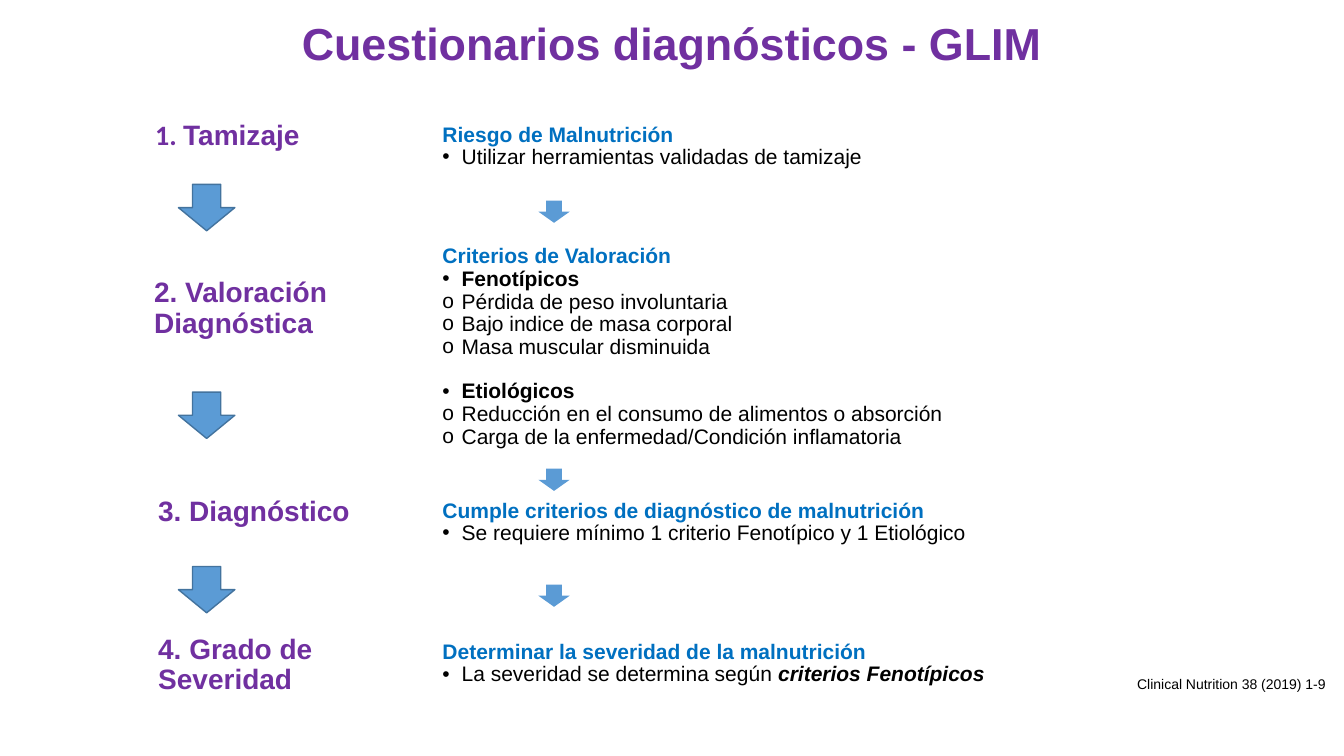
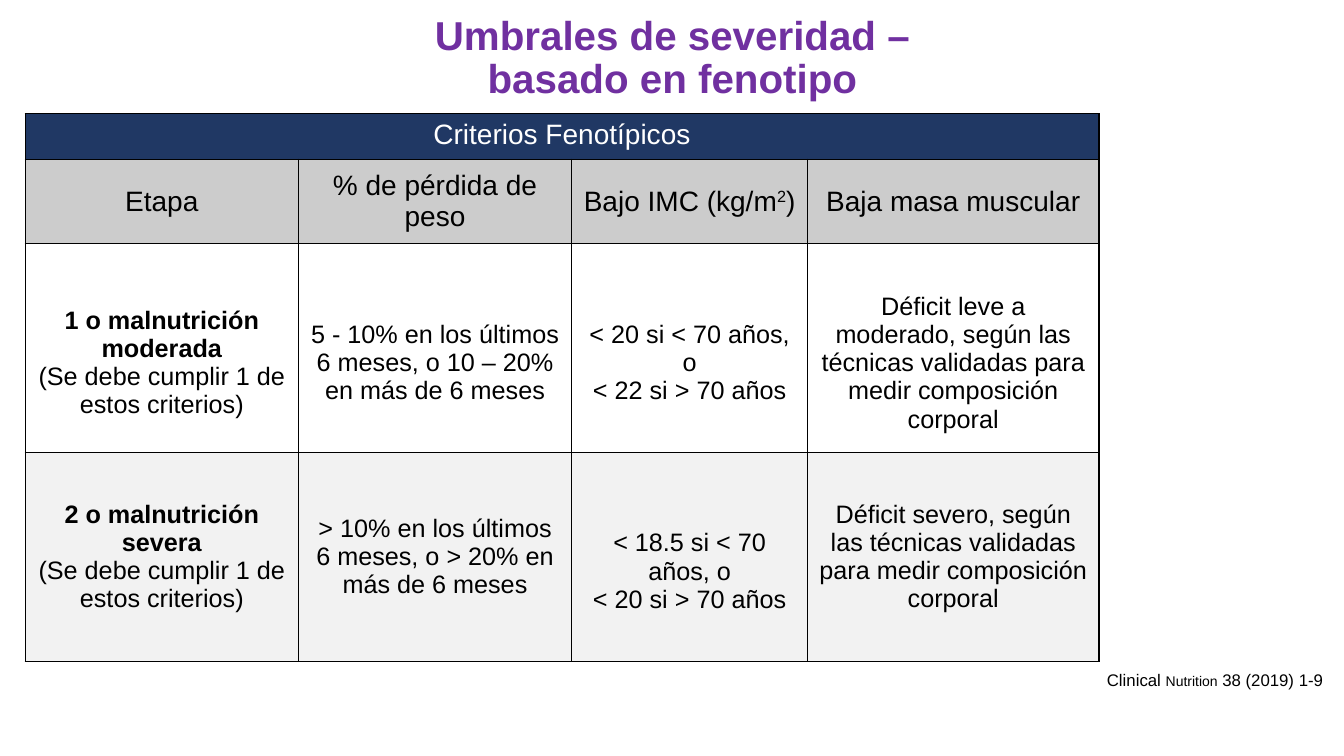
from lxml import etree
from pptx import Presentation
from pptx.dml.color import RGBColor
from pptx.enum.shapes import MSO_SHAPE as SHAPE
from pptx.enum.text import MSO_ANCHOR as ANCHOR, MSO_AUTO_SIZE as AUTO, PP_ALIGN as ALIGN
from pptx.oxml.ns import qn
from pptx.util import Inches, Pt

COLORS = {"purple": "7030A0", "blue": "0070C0", "arrow": "5B9BD5", "arrow_line": "43739E",
          "navy": "203864", "gray": "CCCCCC", "light": "F2F2F2", "white": "FFFFFF",
          "black": "000000"}
RGB = {name: RGBColor.from_string(value) for name, value in COLORS.items()}
BOLD = {"bold": True}

prs = Presentation()
prs.slide_width, prs.slide_height = Inches(13.33), Inches(7.5)


def write(p, parts, size, color="black", **style):
    """Fill a paragraph with a string, or with (text, font attributes) pairs."""
    for text, extra in [(parts, {})] if isinstance(parts, str) else parts:
        r = p.add_run()
        r.text = text
        font = {"name": "Arial", "size": Pt(size), "bold": False, **style, **extra}
        for key, value in font.items():
            setattr(r.font, key, value)
        r.font.color.rgb = RGB[color]


def add_slide(title, title_box, title_size, citation, citation_box):
    s = prs.slides.add_slide(prs.slide_layouts[5])
    sp = s.shapes.title
    sp.left, sp.top, sp.width, sp.height = map(Inches, title_box)
    tf = sp.text_frame
    tf.auto_size, tf.word_wrap, tf.vertical_anchor = AUTO.NONE, True, ANCHOR.MIDDLE
    p = tf.paragraphs[0]
    p.alignment, p.line_spacing = ALIGN.CENTER, 0.9
    write(p, title, title_size, "purple", bold=True)
    tf = s.shapes.add_textbox(*map(Inches, citation_box)).text_frame
    tf.word_wrap = True
    write(tf.paragraphs[0], citation, 10)
    return s


# Slide 1: diagnostic steps
s = add_slide("Cuestionarios diagnósticos - GLIM", (0, 0, 13.33, 0.91), 32,
              "Clinical Nutrition 38 (2019) 1-9", (11.18, 6.65, 2.15, 0.24))

# Each detail: top, height, heading, then (bullet, text) items
details = [
    (1.05, 0.81, "Riesgo de Malnutrición",
     [("•", "Utilizar herramientas validadas de tamizaje")]),
    (2.38, 2.13, "Criterios de Valoración",
     [("•", [("Fenotípicos", BOLD)]),
      ("o", "Pérdida de peso involuntaria"),
      ("o", "Bajo indice de masa corporal"),
      ("o", "Masa muscular disminuida"),
      ("•", [("Etiológicos", BOLD)]),
      ("o", "Reducción en el consumo de alimentos o absorción"),
      ("o", "Carga de la enfermedad/Condición inflamatoria")]),
    (4.85, 0.67, "Cumple criterios de diagnóstico de malnutrición",
     [("•", "Se requiere mínimo 1 criterio Fenotípico y 1 Etiológico")]),
    (6.21, 0.75, "Determinar la severidad de la malnutrición",
     [("•", [("La severidad se determina según ", {}),
             ("criterios Fenotípicos", {"bold": True, "italic": True})])]),
]
for top, height, heading, items in details:
    tf = s.shapes.add_textbox(Inches(4.29), Inches(top), Inches(6.49), Inches(height)).text_frame
    tf.word_wrap, tf.vertical_anchor = True, ANCHOR.MIDDLE
    p = tf.paragraphs[0]
    p.line_spacing = 0.9
    write(p, heading, 15, "blue", bold=True)
    previous = "•"
    for bullet, text in items:
        p = tf.add_paragraph()
        p.line_spacing = 0.9
        if bullet == "•" and previous == "o":
            p.space_before = Pt(15.5)
        previous = bullet
        pPr = p._p.get_or_add_pPr()
        pPr.set("marL", str(Inches(0.19)))
        pPr.set("indent", str(-Inches(0.19)))
        etree.SubElement(pPr, qn("a:buFont")).set("typeface", "Arial")
        etree.SubElement(pPr, qn("a:buChar")).set("char", bullet)
        write(p, text, 15)

steps = [
    (1.44, 1.13, 1.9, 0.44, [("1. ", {"name": "Calibri"}), ("Tamizaje", {})]),
    (1.43, 2.72, 2.34, 0.69, "2. Valoración Diagnóstica"),
    (1.47, 4.87, 2.34, 0.42, "3. Diagnóstico"),
    (1.47, 6.31, 1.98, 0.58, "4. Grado de Severidad"),
]
for *box, text in steps:
    tf = s.shapes.add_textbox(*map(Inches, box)).text_frame
    tf.word_wrap, tf.vertical_anchor = True, ANCHOR.MIDDLE
    tf.paragraphs[0].line_spacing = 0.9
    write(tf.paragraphs[0], text, 20, "purple", bold=True)

# Each arrow column: left, width, height, outlined, tops
arrow_columns = [(1.77, 0.56, 0.46, True, (1.83, 3.89, 5.62)),
                 (5.34, 0.31, 0.22, False, (1.99, 4.65, 5.8))]
for left, width, height, outlined, tops in arrow_columns:
    for top in tops:
        sp = s.shapes.add_shape(SHAPE.DOWN_ARROW, *map(Inches, (left, top, width, height)))
        sp.shadow.inherit = False
        sp.fill.solid()
        sp.fill.fore_color.rgb = RGB["arrow"]
        if outlined:
            sp.line.color.rgb = RGB["arrow_line"]
            sp.line.width = Pt(1)
        else:
            sp.line.fill.background()

# Slide 2: severity thresholds
large = {"size": Pt(12)}
s = add_slide("Umbrales de severidad – basado en fenotipo", (4.03, 0.1, 5.28, 0.97), 28.8,
              [("Clinical ", large), ("Nutrition", {}), (" 38 (2019) 1-9", large)],
              (10.88, 6.6, 2.35, 0.27))

criteria = "(Se debe cumplir 1 de estos criterios)"
# Each cell is a list of paragraphs
rows = [
    [["Criterios Fenotípicos"], [], [], []],
    [["Etapa"], ["% de pérdida de peso"],
     [[("Bajo IMC (kg/m", {}), ("2", {}), (")", {})]], ["Baja masa muscular"]],
    [[[("1 o malnutrición moderada", BOLD)], criteria],
     ["5 - 10% en los últimos 6 meses, o 10 – 20% en más de 6 meses"],
     ["< 20 si < 70 años,", "o", "< 22 si > 70 años"],
     ["Déficit leve a moderado, según las técnicas validadas para medir composición corporal"]],
    [[[("2 o malnutrición severa", BOLD)], criteria],
     ["> 10% en los últimos 6 meses, o > 20% en más de 6 meses"],
     ["< 18.5 si < 70 años, o", "< 20 si > 70 años"],
     ["Déficit severo, según las técnicas validadas para medir composición corporal"]],
]
# Each row: height, fill, text size, text colour, columns whose text sits lower
row_styles = [(0.45, "navy", 20, "white", ()), (0.84, "gray", 20, "black", ()),
              (2.07, "white", 18, "black", (0, 1, 2, 3)), (2.07, "light", 18, "black", (2,))]

table = s.shapes.add_table(4, 4, Inches(0.25), Inches(1.13), Inches(10.64), Inches(5.43)).table
table.first_row = table.horz_banding = False
for column, width in zip(table.columns, (2.71, 2.71, 2.34, 2.89)):
    column.width = Inches(width)
for i, (height, fill, size, color, lowered) in enumerate(row_styles):
    table.rows[i].height = Inches(height)
    for j, paragraphs in enumerate(rows[i]):
        cell = table.cell(i, j)
        cell.vertical_anchor = ANCHOR.MIDDLE if i else ANCHOR.TOP
        if j in lowered:
            cell.margin_top = Inches(0.34)
        for k, text in enumerate(paragraphs):
            tf = cell.text_frame
            p = tf.add_paragraph() if k else tf.paragraphs[0]
            p.alignment = ALIGN.CENTER
            write(p, text, size, color)
        tcPr = cell._tc.get_or_add_tcPr()
        for side in ("lnL", "lnR", "lnT", "lnB"):
            ln = etree.SubElement(tcPr, qn(f"a:{side}"), w=str(Pt(1)))
            line_fill = etree.SubElement(ln, qn("a:solidFill"))
            etree.SubElement(line_fill, qn("a:srgbClr"), val=COLORS["black"])
        cell.fill.solid()
        cell.fill.fore_color.rgb = RGB[fill]
table.cell(0, 0).merge(table.cell(0, 3))
exponent = table.cell(1, 2).text_frame.paragraphs[0].runs[1]
exponent._r.get_or_add_rPr().set("baseline", "30000")

prs.save("out.pptx")
